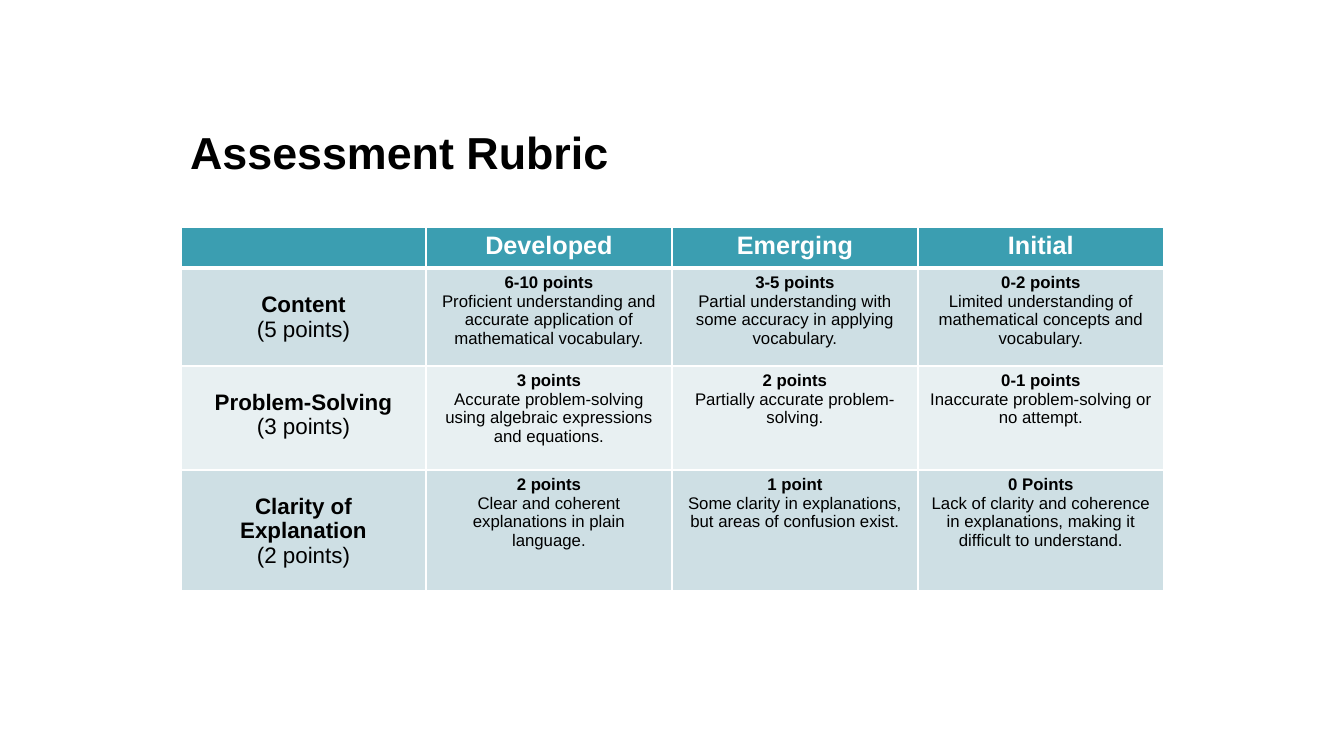
from lxml import etree
from pptx import Presentation
from pptx.dml.color import RGBColor
from pptx.enum.text import MSO_ANCHOR, PP_ALIGN
from pptx.oxml.ns import qn
from pptx.util import Emu, Pt

LEFT, CENTER = PP_ALIGN.LEFT, PP_ALIGN.CENTER
MIDDLE = MSO_ANCHOR.MIDDLE
EMU_PER_INCH, PX_PER_INCH = 914400, 100.8

BLACK, WHITE = "000000", "FFFFFF"
HEADER_FILL = "3B9EB1"
BAND_FILLS = ["CEDFE4", "E8F0F2"]

COLUMN_WIDTHS = [245, 246, 246, 246]
ROW_HEIGHTS = [41, 98, 104, 121]
LABEL_TOP_MARGIN = 24

LEVELS = ["", "Developed", "Emerging", "Initial"]
CRITERIA = [
    [("Content", "(5 points)"),
     ("6-10 points", "Proficient understanding and accurate application of mathematical vocabulary."),
     ("3-5 points", "Partial understanding with some accuracy in applying vocabulary."),
     ("0-2 points", "Limited understanding of mathematical concepts and vocabulary.")],
    [("Problem-Solving", "(3 points)"),
     ("3 points", "Accurate problem-solving using algebraic expressions and equations."),
     ("2 points", "Partially accurate problem-solving."),
     ("0-1 points", "Inaccurate problem-solving or no attempt.")],
    [("Clarity of Explanation", "(2 points)"),
     ("2 points", "Clear and coherent explanations in plain language."),
     ("1 point", "Some clarity in explanations, but areas of confusion exist."),
     ("0 Points", "Lack of clarity and coherence in explanations, making it difficult to understand.")],
]


def px(length):
    """Turn pixels into EMU."""
    return Emu(round(length * EMU_PER_INCH / PX_PER_INCH))


def color(hex_string):
    """Turn a hex string into a colour."""
    return RGBColor.from_string(hex_string)


def write(paragraph, text, size=12, bold=False, ink=BLACK, align=CENTER):
    """Put formatted text into a paragraph."""
    paragraph.alignment = align
    font = paragraph.font
    if text:
        run = paragraph.add_run()
        run.text = text
        font = run.font
    font.name = "Arial"
    font.size = Pt(size)
    font.bold = bold
    font.color.rgb = color(ink)


def style_cell(cell, fill, top=1, bottom=1):
    """Give a cell white borders and a solid fill."""
    properties = cell._tc.get_or_add_tcPr()
    for side, width in (("L", 1), ("R", 1), ("T", top), ("B", bottom)):
        line = etree.SubElement(properties, qn(f"a:ln{side}"), w=str(Pt(width)))
        solid = etree.SubElement(line, qn("a:solidFill"))
        etree.SubElement(solid, qn("a:srgbClr"), val=WHITE)
    cell.fill.solid()
    cell.fill.fore_color.rgb = color(fill)


def add_title(slide, text):
    """Move the title placeholder and fill it."""
    title = slide.shapes.title
    title.left, title.top, title.width, title.height = map(px, (180, 76, 983, 151))
    frame = title.text_frame
    frame.word_wrap = True
    frame.vertical_anchor = MIDDLE
    write(frame.paragraphs[0], text, size=32, bold=True, align=LEFT)


def add_rubric(slide):
    """Add the table of criteria and levels."""
    frame = slide.shapes.add_table(
        len(ROW_HEIGHTS), len(COLUMN_WIDTHS), px(181), px(227),
        px(sum(COLUMN_WIDTHS)), px(sum(ROW_HEIGHTS)))
    table = frame.table
    for column, width in zip(table.columns, COLUMN_WIDTHS):
        column.width = px(width)
    for row, height in zip(table.rows, ROW_HEIGHTS):
        row.height = px(height)
    for column, level in enumerate(LEVELS):
        cell = table.cell(0, column)
        style_cell(cell, HEADER_FILL, bottom=3)
        write(cell.text_frame.paragraphs[0], level, size=18, bold=True, ink=WHITE)
    for row, criterion in enumerate(CRITERIA, start=1):
        for column, (heading, detail) in enumerate(criterion):
            cell = table.cell(row, column)
            style_cell(cell, BAND_FILLS[(row - 1) % 2], top=3 if row == 1 else 1)
            is_label = column == 0
            if is_label:
                cell.margin_top = px(LABEL_TOP_MARGIN)
            size = 16 if is_label else 12
            write(cell.text_frame.paragraphs[0], heading, size=size, bold=True)
            write(cell.text_frame.add_paragraph(), detail, size=size)


def main():
    """Build the slide and save it."""
    presentation = Presentation()
    presentation.slide_width, presentation.slide_height = px(1344), px(756)
    slide = presentation.slides.add_slide(presentation.slide_layouts[5])
    add_title(slide, "Assessment Rubric")
    add_rubric(slide)
    presentation.save("out.pptx")


if __name__ == "__main__":
    main()
